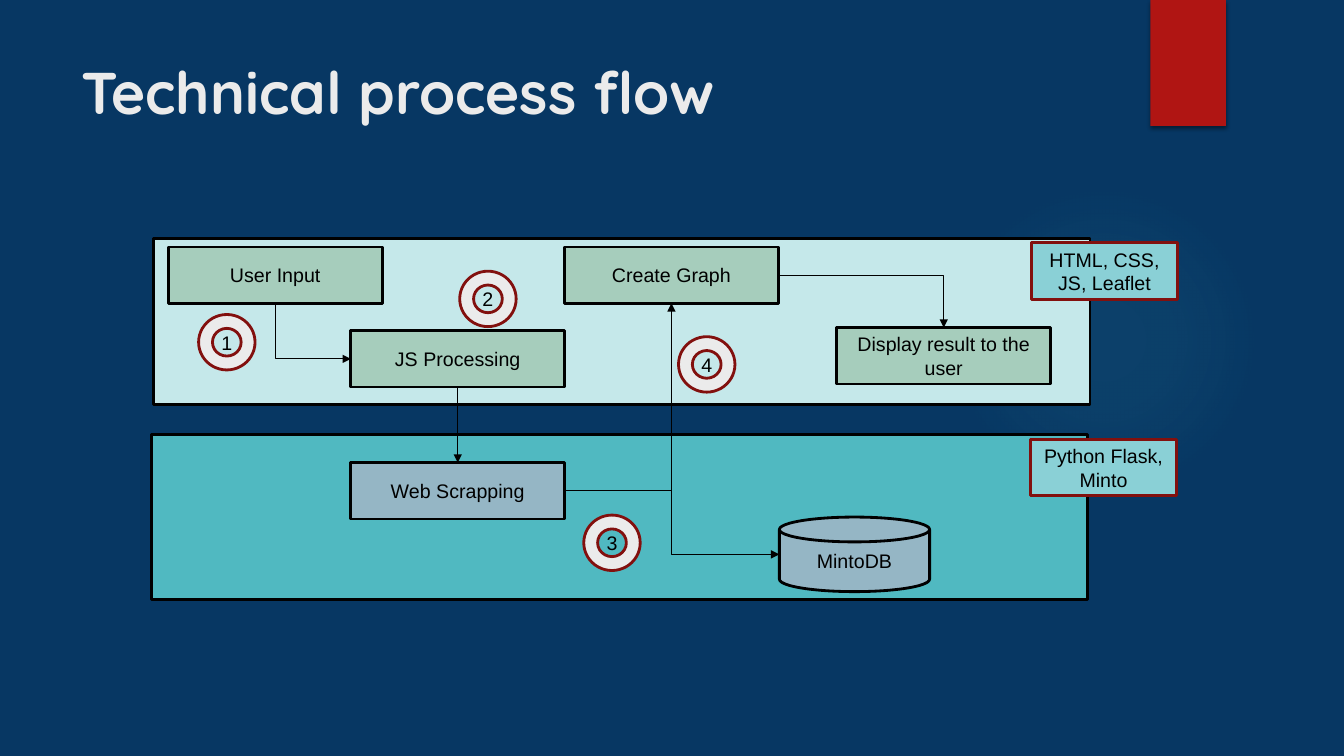
import pptx
import pptx.dml.color
import pptx.enum.shapes
import pptx.enum.text
import pptx.oxml
import pptx.oxml.ns
import pptx.util

Inches = pptx.util.Inches
Pt = pptx.util.Pt
SHAPE = pptx.enum.shapes.MSO_SHAPE
CONNECTOR = pptx.enum.shapes.MSO_CONNECTOR
ALIGN = pptx.enum.text.PP_ALIGN
ANCHOR = pptx.enum.text.MSO_ANCHOR
qn = pptx.oxml.ns.qn
NS = pptx.oxml.ns.nsdecls("a")

COLORS = {
    "background": "073763",
    "glow": "4CB9C3",
    "ribbon": "B01513",
    "title": "EBEBEB",
    "ink": "000000",
    "frontend": "C5E8EA",
    "backend": "50B9C1",
    "step": "A6CDBC",
    "server": "95B6C5",
    "tag": "8AD0D6",
    "accent": "82100E",
    "badge": "EBEBEB",
}
TOP, LEFT, BOTTOM, RIGHT = range(4)  # connection sites
STEP_SIZE = (2.12, 0.56)
TAG_SIZE = (1.45, 0.56)
PANEL_SIZE = (9.29, 1.64)
BADGE_SIZE = (0.56, 0.55)


def rgb(name):
    return pptx.dml.color.RGBColor.from_string(COLORS[name])


class FlowSlide:
    font = "Arial"
    text_size = 14
    outline = 2
    link_width = 0.75

    def __init__(self, prs):
        self.s = prs.slides.add_slide(prs.slide_layouts[6])
        fill = self.s.background.fill
        fill.solid()
        fill.fore_color.rgb = rgb("background")

    def shape(self, kind, at, size, fill, line="ink", text=""):
        sp = self.s.shapes.add_shape(kind, *map(Inches, at + size))
        sp.shadow.inherit = False
        sp.fill.solid()
        sp.fill.fore_color.rgb = rgb(fill)
        if line:
            sp.line.color.rgb = rgb(line)
            sp.line.width = Pt(self.outline)
        else:
            sp.line.fill.background()
        if text:
            tf = sp.text_frame
            tf.word_wrap = True
            tf.vertical_anchor = ANCHOR.MIDDLE
            self.set_text(tf, text, self.font, self.text_size, "ink", ALIGN.CENTER)
        return sp

    def set_text(self, tf, text, font, size, color, align, bold=False):
        p = tf.paragraphs[0]
        p.text = text
        p.alignment = align
        p.font.name = font
        p.font.size = Pt(size)
        p.font.bold = bold
        p.font.color.rgb = rgb(color)

    def title(self, text, at, size):
        tf = self.s.shapes.add_textbox(*map(Inches, at + size)).text_frame
        tf.word_wrap = True
        self.set_text(tf, text, "Quicksand", 42, "title", ALIGN.LEFT, bold=True)

    def glow(self, at, size):
        """Circle that fades out from its centre."""
        sp = self.shape(SHAPE.OVAL, at, size, "glow", line=None)
        stops = "".join(
            f'<a:gs pos="{pos * 1000}"><a:srgbClr val="{COLORS["glow"]}">'
            f'<a:alpha val="{alpha * 1000}"/></a:srgbClr></a:gs>'
            for pos, alpha in ((0, 7), (36, 6), (69, 0), (100, 0)))
        solid = sp.element.spPr.find(qn("a:solidFill"))
        solid.getparent().replace(solid, pptx.oxml.parse_xml(
            f'<a:gradFill {NS}><a:gsLst>{stops}</a:gsLst><a:path path="circle">'
            '<a:fillToRect l="50000" t="50000" r="50000" b="50000"/>'
            '</a:path></a:gradFill>'))

    def ribbon(self, at, size):
        sp = self.shape(SHAPE.RECTANGLE, at, size, "ribbon", line=None)
        sp.element.spPr.find(qn("a:effectLst")).append(pptx.oxml.parse_xml(
            f'<a:outerShdw {NS} blurRad="{Pt(3)}" dist="{Pt(2)}" dir="5400000">'
            '<a:srgbClr val="000000"><a:alpha val="45000"/></a:srgbClr>'
            '</a:outerShdw>'))

    def panel(self, at, fill):
        self.shape(SHAPE.RECTANGLE, at, PANEL_SIZE, fill)

    def step(self, text, at, fill="step"):
        return self.shape(SHAPE.RECTANGLE, at, STEP_SIZE, fill, text=text)

    def tag(self, text, at):
        self.shape(SHAPE.RECTANGLE, at, TAG_SIZE, "tag", "accent", text)

    def badge(self, number, at):
        self.shape(SHAPE.DONUT, at, BADGE_SIZE, "badge", "accent", str(number))

    def link(self, start, start_site, end, end_site, geometry):
        """Arrow glued to two shapes; geometry is the preset connector name."""
        kind = CONNECTOR.STRAIGHT if geometry == "line" else CONNECTOR.ELBOW
        cxn = self.s.shapes.add_connector(kind, 0, 0, 0, 0)
        cxn.begin_connect(start, start_site)
        cxn.end_connect(end, end_site)
        cxn.line.color.rgb = rgb("ink")
        cxn.line.width = Pt(self.link_width)
        spPr = cxn.element.spPr
        spPr.find(qn("a:prstGeom")).set("prst", geometry)
        spPr.find(qn("a:ln")).append(
            pptx.oxml.parse_xml(f'<a:tailEnd {NS} type="triangle"/>'))
        spPr.append(pptx.oxml.parse_xml(f'<a:effectLst {NS}/>'))
        return cxn

    def turn_down_first(self, cxn):
        """Make a one-bend link leave downwards and then go right."""
        w, h = cxn.width, cxn.height
        cxn.left, cxn.top = cxn.left + (w - h) // 2, cxn.top + (h - w) // 2
        cxn.width, cxn.height = h, w
        xfrm = cxn.element.spPr.find(qn("a:xfrm"))
        xfrm.set("rot", str(270 * 60000))
        xfrm.set("flipH", "1")


def main():
    prs = pptx.Presentation()
    prs.slide_width, prs.slide_height = Inches(13.33), Inches(7.5)
    s = FlowSlide(prs)

    s.glow((9.41, 1.83), (3.08, 3.08))
    s.ribbon((11.41, 0), (0.75, 1.25))
    s.title("Technical process flow", (0.71, 0.5), (10.29, 1.04))

    s.panel((1.52, 2.37), "frontend")
    s.panel((1.5, 4.31), "backend")
    s.tag("HTML, CSS, JS, Leaflet", (10.23, 2.41))
    s.tag("Python Flask, Minto", (10.22, 4.36))

    user_input = s.step("User Input", (1.67, 2.45))
    processing = s.step("JS Processing", (3.48, 3.28))
    scrapping = s.step("Web Scrapping", (3.48, 4.59), "server")
    graph = s.step("Create Graph", (5.6, 2.45))
    display = s.step("Display result to the user", (8.3, 3.25))
    database = s.shape(SHAPE.FLOWCHART_MAGNETIC_DISK, (7.73, 5.13),
                       (1.49, 0.74), "server", text="MintoDB")

    s.turn_down_first(
        s.link(user_input, BOTTOM, processing, LEFT, "bentConnector2"))
    s.link(scrapping, RIGHT, graph, BOTTOM, "bentConnector2")
    s.link(graph, RIGHT, display, TOP, "bentConnector2")
    s.link(processing, BOTTOM, scrapping, TOP, "line")
    # The disk has an extra site on its lid, so its left side is site 2.
    store = s.link(scrapping, RIGHT, database, 2, "bentConnector3")
    store.end_x = database.left
    store.end_y = database.top + database.height // 2

    badges = [(1.97, 3.12), (4.56, 2.69), (5.79, 5.11), (6.73, 3.34)]
    for number, at in enumerate(badges, 1):
        s.badge(number, at)

    prs.save("out.pptx")


if __name__ == "__main__":
    main()
